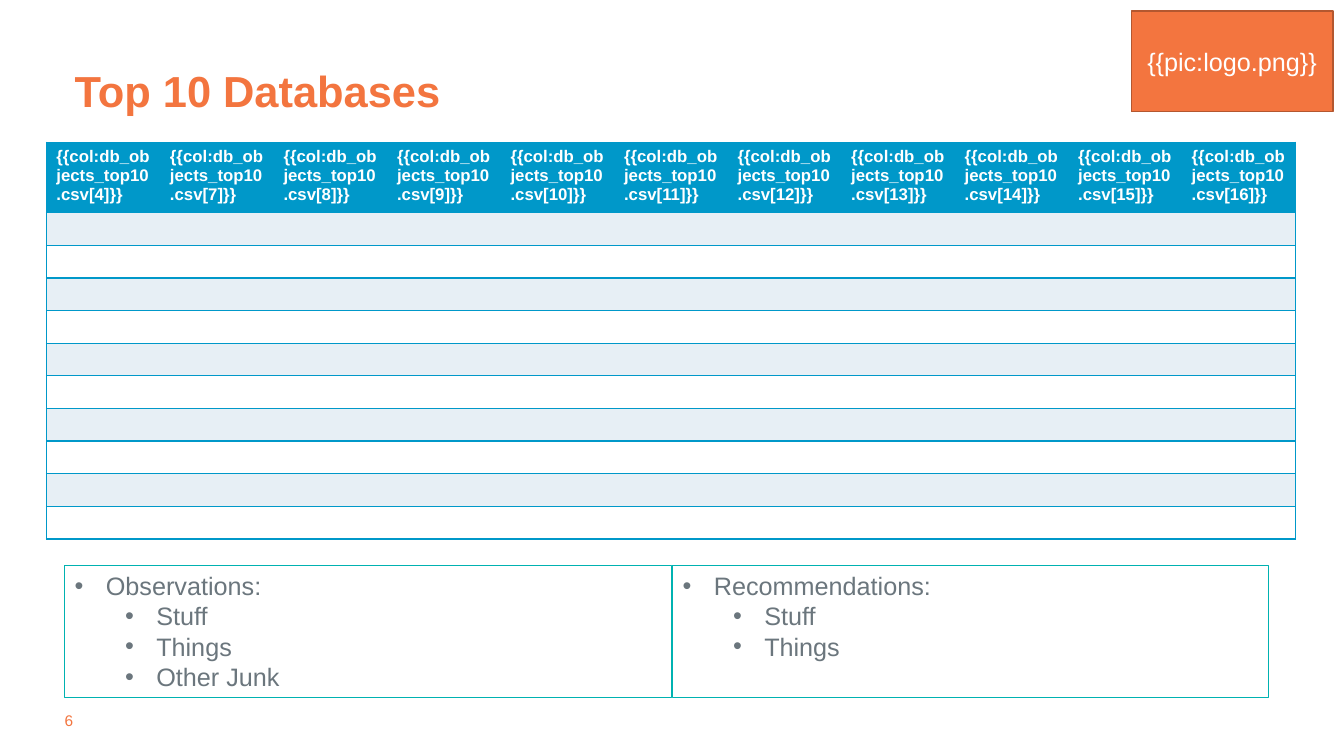
from lxml import etree
from pptx import Presentation
from pptx import util as u
from pptx.dml.color import RGBColor
from pptx.enum import shapes, text
from pptx.oxml import ns

COLORS = {"orange": "F3753F", "rust": "B4572F", "blue": "0098C9", "band": "E7EFF5",
          "white": "FFFFFF", "teal": "00B2B1", "gray": "6B767D"}
FONT = "Arial"
NO_GRID_STYLE = "{2D5ABB26-0587-4C30-8999-92F81FD0307C}"


def rgb(name):
    return RGBColor.from_string(COLORS[name])


def sub(parent, tag, **attrs):
    return etree.SubElement(parent, ns.qn(tag), attrs)


class SlideBuilder:
    def __init__(self, prs, layout):
        self.s = prs.slides.add_slide(prs.slide_layouts[layout])

    def place(self, sp, box):
        sp.left, sp.top, sp.width, sp.height = map(u.Inches, box)

    def run(self, p, words, size, color, bold=False):
        r = p.add_run()
        r.text = words
        r.font.name, r.font.size, r.font.bold = FONT, u.Pt(size), bold
        r.font.color.rgb = rgb(color)

    def outline(self, sp, color, width):
        sp.line.color.rgb = rgb(color)
        sp.line.width = u.Pt(width)

    def title(self, words, box):
        sp = self.s.shapes.title
        self.place(sp, box)
        tf = sp.text_frame
        tf.auto_size = text.MSO_AUTO_SIZE.NONE
        tf.vertical_anchor = text.MSO_ANCHOR.BOTTOM
        p = tf.paragraphs[0]
        p.alignment, p.line_spacing = text.PP_ALIGN.LEFT, 0.9
        self.run(p, words, 31, "orange", True)

    def bullet_box(self, idx, heading, items, box):
        sp = self.s.placeholders[idx]
        self.place(sp, box)
        self.outline(sp, "teal", 0.75)
        tf = sp.text_frame
        tf.auto_size = text.MSO_AUTO_SIZE.NONE
        for i, words in enumerate([heading] + items):
            p = tf.add_paragraph() if i else tf.paragraphs[0]
            p.level = min(i, 1)
            p.space_before = u.Pt(0)
            pPr = p._p.get_or_add_pPr()
            pPr.set("marL", str(u.Inches(0.31 + 0.5 * p.level)))
            pPr.set("indent", str(u.Inches(-0.31)))
            sub(pPr, "a:buFont", typeface=FONT)
            sub(pPr, "a:buChar", char="•")
            self.run(p, words, 18, "gray")

    def block(self, words, box):
        sp = self.s.shapes.add_shape(shapes.MSO_SHAPE.RECTANGLE, *map(u.Inches, box))
        sp.shadow.inherit = False
        sp.fill.solid()
        sp.fill.fore_color.rgb = rgb("orange")
        self.outline(sp, "rust", 1)
        tf = sp.text_frame
        tf.word_wrap = True
        tf.vertical_anchor = text.MSO_ANCHOR.MIDDLE
        p = tf.paragraphs[0]
        p.alignment = text.PP_ALIGN.CENTER
        self.run(p, words, 18, "white")

    def page_number(self, number, box):
        tf = self.s.shapes.add_textbox(*map(u.Inches, box)).text_frame
        tf.margin_left = tf.margin_right = tf.margin_top = tf.margin_bottom = 0
        tf.word_wrap = False
        self.run(tf.paragraphs[0], number, 11, "orange")

    def borders(self, cell, sides):
        tcPr = cell._tc.get_or_add_tcPr()
        for side in sides:
            ln = sub(tcPr, "a:ln" + side, w=str(u.Pt(1)))
            sub(sub(ln, "a:solidFill"), "a:srgbClr", val=COLORS["blue"])

    def banded_table(self, headers, body_rows, box, header_height):
        """Draw a header row above empty rows, with outer and horizontal rules only."""
        cols = len(headers)
        frame = self.s.shapes.add_table(body_rows + 1, cols, *map(u.Inches, box))
        table = frame.table
        frame._element.find(".//" + ns.qn("a:tableStyleId")).text = NO_GRID_STYLE
        for column in table.columns:
            column.width = u.Inches(box[2] / cols)
        for i, row in enumerate(table.rows):
            row.height = u.Inches((box[3] - header_height) / body_rows if i else header_height)
            for j, cell in enumerate(row.cells):
                left = ["L"] if j == 0 else []
                right = ["R"] if j == cols - 1 else []
                self.borders(cell, left + right + ["T", "B"])
                cell.fill.solid()
                color = "blue" if i == 0 else "band" if i % 2 else "white"
                cell.fill.fore_color.rgb = rgb(color)
                p = cell.text_frame.paragraphs[0]
                if i == 0:
                    self.run(p, headers[j], 12, "white", True)
                else:
                    sub(p._p, "a:endParaRPr", sz="1200")


def main():
    prs = Presentation()
    prs.slide_width, prs.slide_height = u.Inches(13.33), u.Inches(7.5)
    slide = SlideBuilder(prs, 3)
    slide.page_number("6", (0.64, 7.05, 0.19, 0.19))
    slide.title("Top 10 Databases", (0.64, 0.43, 11.5, 0.78))
    slide.block("{{pic:logo.png}}", (11.22, 0.11, 2, 1))
    headers = [f"{{{{col:db_objects_top10.csv[{n}]}}}}" for n in [4, *range(7, 17)]]
    slide.banded_table(headers, 10, (0.46, 1.41, 12.39, 3.94), 0.7)
    slide.bullet_box(1, "Observations:", ["Stuff", "Things", "Other Junk"],
                     (0.64, 5.61, 6.02, 1.31))
    slide.bullet_box(2, "Recommendations:", ["Stuff", "Things"], (6.67, 5.61, 5.91, 1.31))
    prs.save("out.pptx")


if __name__ == "__main__":
    main()
